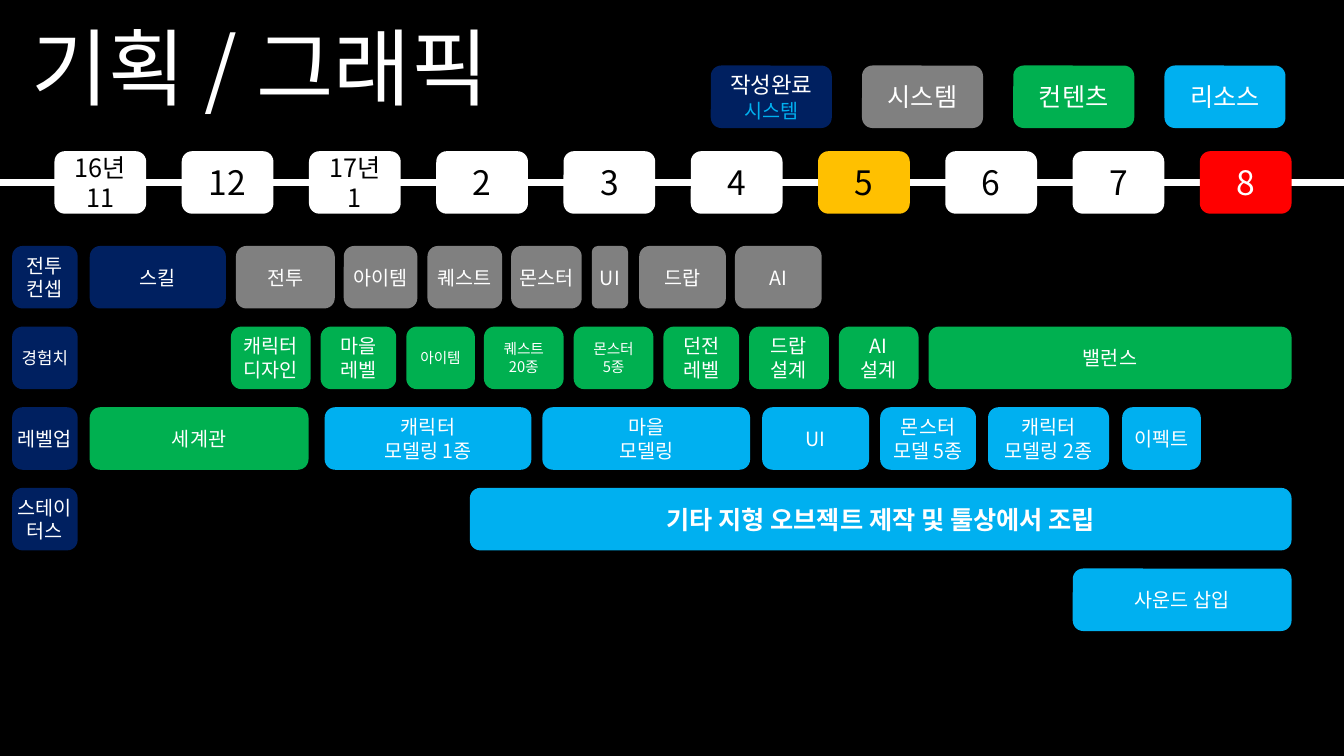
"""Build a game planning and graphics schedule slide."""
from dataclasses import dataclass

from lxml import etree
from pptx import Presentation
from pptx.dml.color import RGBColor
from pptx.enum.shapes import MSO_CONNECTOR, MSO_SHAPE
from pptx.enum.text import MSO_ANCHOR, MSO_AUTO_SIZE, PP_ALIGN
from pptx.oxml.ns import qn
from pptx.util import Inches, Pt

ROUND = MSO_SHAPE.ROUNDED_RECTANGLE
LINE = MSO_CONNECTOR.STRAIGHT
MIDDLE, TOP = MSO_ANCHOR.MIDDLE, MSO_ANCHOR.TOP
CENTER, LEFT = PP_ALIGN.CENTER, PP_ALIGN.LEFT
NO_FIT = MSO_AUTO_SIZE.NONE
TITLE_ONLY = 5


@dataclass(frozen=True)
class Theme:
    """Hold the font, colours and type sizes."""
    font: str = "Noto Sans CJK KR"
    black: str = "000000"
    white: str = "FFFFFF"
    navy: str = "002060"
    gray: str = "808080"
    green: str = "00B050"
    blue: str = "00B0F0"
    amber: str = "FFC000"
    red: str = "FF0000"
    title: float = 60
    month: float = 24
    large: float = 18
    mid: float = 16
    body: float = 14
    small: float = 12
    tiny: float = 10.5


THEME = Theme()
HIGH = 0.62
ROW_TOP, ROW_STEP = 2.44, 0.8
KEY_LEFT, KEY_STEP, KEY_TOP, KEY_WIDE = 7.05, 1.5, 0.65, 1.2
MONTH_LEFT, MONTH_LAST, MONTH_TOP, MONTH_WIDE = 0.54, 11.9, 1.5, 0.91
AXIS = 1.81

KEYS = [
    (THEME.navy, "작성완료\n시스템", THEME.mid),
    (THEME.gray, "시스템", THEME.large),
    (THEME.green, "컨텐츠", THEME.large),
    (THEME.blue, "리소스", THEME.large),
]
MONTHS = ["16년\n11", "12", "17년\n1", "2", "3", "4", "5", "6", "7", "8"]
MARKS = {"5": (THEME.amber, THEME.black), "8": (THEME.red, THEME.white)}

ROWS = [
    [
        (0.12, 0.65, THEME.navy, "전투\n컨셉", THEME.body),
        (0.89, 1.35, THEME.navy, "스킬", THEME.body),
        (2.34, 0.98, THEME.gray, "전투", THEME.body),
        (3.41, 0.73, THEME.gray, "아이템", THEME.body),
        (4.24, 0.74, THEME.gray, "퀘스트", THEME.body),
        (5.07, 0.7, THEME.gray, "몬스터", THEME.body),
        (5.87, 0.36, THEME.gray, "UI", THEME.body),
        (6.34, 0.86, THEME.gray, "드랍", THEME.body),
        (7.29, 0.86, THEME.gray, "AI", THEME.body),
    ],
    [
        (0.12, 0.65, THEME.navy, "경험치", THEME.small),
        (2.29, 0.79, THEME.green, "캐릭터\n디자인", THEME.body),
        (3.18, 0.75, THEME.green, "마을\n레벨", THEME.body),
        (4.03, 0.68, THEME.green, "아이템", THEME.tiny),
        (4.8, 0.79, THEME.green, "퀘스트\n20종", THEME.tiny),
        (5.69, 0.79, THEME.green, "몬스터\n5종", THEME.tiny),
        (6.58, 0.75, THEME.green, "던전\n레벨", THEME.body),
        (7.43, 0.79, THEME.green, "드랍\n설계", THEME.body),
        (8.32, 0.79, THEME.green, "AI\n설계", THEME.body),
        (9.21, 3.6, THEME.green, "밸런스", THEME.body),
    ],
    [
        (0.12, 0.65, THEME.navy, "레벨업", THEME.body),
        (0.89, 2.17, THEME.green, "세계관", THEME.body),
        (3.22, 2.05, THEME.blue, "캐릭터\n모델링 1종", THEME.body),
        (5.38, 2.06, THEME.blue, "마을\n모델링", THEME.body),
        (7.56, 1.06, THEME.blue, "UI", THEME.body),
        (8.73, 0.95, THEME.blue, "몬스터\n모델 5종", THEME.body),
        (9.8, 1.2, THEME.blue, "캐릭터\n모델링 2종", THEME.body),
        (11.13, 0.78, THEME.blue, "이펙트", THEME.body),
    ],
    [
        (0.12, 0.65, THEME.navy, "스테이터스", THEME.body),
        (4.66, 8.15, THEME.blue, "기타 지형 오브젝트 제작 및 툴상에서 조립",
         THEME.large),
    ],
    [(10.64, 2.17, THEME.blue, "사운드 삽입", THEME.body)],
]


def apply(thing, look):
    """Set each format value on an object."""
    for name, value in look.items():
        setattr(thing, name, value)


def style(run, size, color, bold=False):
    """Format a run for Latin and Korean letters."""
    apply(run.font, {"name": THEME.font, "size": Pt(size), "bold": bold})
    run.font.color.rgb = RGBColor.from_string(color)
    face = etree.SubElement(run.font._element, qn("a:ea"))
    face.set("typeface", THEME.font)


def write(frame, text, size, color, align=CENTER, bold=False):
    """Fill a text frame, one paragraph per line."""
    frame.text = text
    for para in frame.paragraphs:
        para.alignment = align
        style(para.runs[0], size, color, bold)


def add_box(slide, place, fill, text, size, color=THEME.white,
            bold=False, tight=False):
    """Add a rounded box with centred text."""
    box = slide.shapes.add_shape(ROUND, *map(Inches, place))
    box.shadow.inherit = False
    box.fill.solid()
    box.fill.fore_color.rgb = RGBColor.from_string(fill)
    box.line.fill.background()
    frame = box.text_frame
    apply(frame, {"word_wrap": True, "vertical_anchor": MIDDLE})
    if tight:
        sides = ("left", "top", "right", "bottom")
        apply(frame, {f"margin_{side}": 0 for side in sides})
    write(frame, text, size, color, bold=bold)
    return box


def add_title(slide, text):
    """Place and format the title."""
    title = slide.shapes.title
    apply(title, {"left": Inches(0.21), "top": Inches(0.1),
                  "width": Inches(9.44), "height": Inches(1.11)})
    apply(title.text_frame, {"word_wrap": True, "vertical_anchor": TOP,
                             "auto_size": NO_FIT})
    write(title.text_frame, text, THEME.title, THEME.white, LEFT)


def add_axis(slide, width):
    """Draw the time line across the slide."""
    axis = slide.shapes.add_connector(LINE, 0, Inches(AXIS), width,
                                      Inches(AXIS))
    axis.line.width = Pt(5)
    axis.line.color.rgb = RGBColor.from_string(THEME.white)
    etree.SubElement(axis._element.spPr, qn("a:effectLst"))


def add_keys(slide):
    """Add the colour key."""
    for i, (fill, text, size) in enumerate(KEYS):
        place = (KEY_LEFT + i * KEY_STEP, KEY_TOP, KEY_WIDE, HIGH)
        box = add_box(slide, place, fill, text, size)
        for para in box.text_frame.paragraphs[1:]:
            style(para.runs[0], THEME.body, THEME.blue)


def add_months(slide):
    """Space the months evenly on the time line."""
    step = (MONTH_LAST - MONTH_LEFT) / (len(MONTHS) - 1)
    for i, text in enumerate(MONTHS):
        fill, color = MARKS.get(text, (THEME.white, THEME.black))
        size = THEME.large if "\n" in text else THEME.month
        place = (MONTH_LEFT + i * step, MONTH_TOP, MONTH_WIDE, HIGH)
        add_box(slide, place, fill, text, size, color)


def add_tasks(slide):
    """Add the task bars row by row."""
    for i, row in enumerate(ROWS):
        top = ROW_TOP + i * ROW_STEP
        for left, wide, fill, text, size in row:
            add_box(slide, (left, top, wide, HIGH), fill, text, size,
                    bold=size == THEME.large, tight=True)


def main():
    """Build and save the slide."""
    deck = Presentation()
    apply(deck, {"slide_width": Inches(13.33), "slide_height": Inches(7.5)})
    slide = deck.slides.add_slide(deck.slide_layouts[TITLE_ONLY])
    slide.background.fill.solid()
    slide.background.fill.fore_color.rgb = RGBColor.from_string(THEME.black)
    add_title(slide, "기획 / 그래픽")
    add_keys(slide)
    add_axis(slide, deck.slide_width)
    add_months(slide)
    add_tasks(slide)
    deck.save("out.pptx")


if __name__ == "__main__":
    main()
